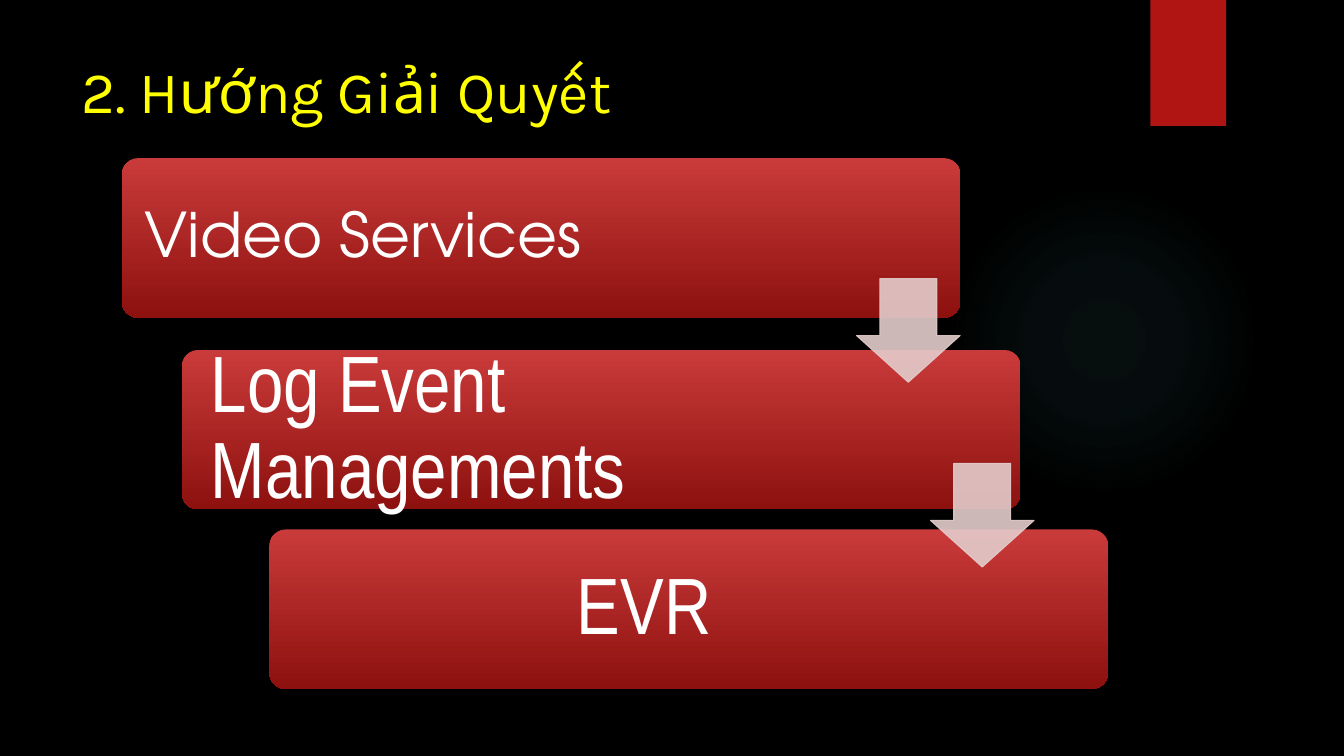
from dataclasses import dataclass

from lxml import etree
from pptx import Presentation
from pptx.dml.color import RGBColor
from pptx.enum.shapes import MSO_SHAPE
from pptx.enum.text import MSO_ANCHOR, PP_ALIGN
from pptx.oxml import parse_xml
from pptx.oxml.ns import nsdecls, qn
from pptx.util import Pt

OVAL, RECT = MSO_SHAPE.OVAL, MSO_SHAPE.RECTANGLE
ROUNDED, DOWN_ARROW = MSO_SHAPE.ROUNDED_RECTANGLE, MSO_SHAPE.DOWN_ARROW
TOP, MIDDLE, LEFT = MSO_ANCHOR.TOP, MSO_ANCHOR.MIDDLE, PP_ALIGN.LEFT
BLANK_LAYOUT = 6


@dataclass(frozen=True)
class Theme:
    background: str = "000000"
    glow: str = "50B9C1"
    ribbon: str = "B01513"
    title: str = "FFFF00"
    card_top: str = "C93B3A"
    card_bottom: str = "8D110F"
    card_text: str = "FFFFFF"
    arrow: str = "E4CCCC"
    title_font: str = "Karla"
    service_font: str = "TeX Gyre Adventor"
    step_font: str = "Arial Narrow"
    title_size: int = 42
    service_size: int = 44
    step_size: int = 57


THEME = Theme()


def rgb(value):
    return RGBColor.from_string(value)


def add_plain_shape(slide, kind, box):
    shape = slide.shapes.add_shape(kind, *map(Pt, box))
    shape.shadow.inherit = False
    shape.line.fill.background()
    return shape


def add_label(slide, box, text, font, size, color, anchor, insets):
    label = slide.shapes.add_textbox(*map(Pt, box))
    frame = label.text_frame
    frame.word_wrap = True
    frame.vertical_anchor = anchor
    frame.margin_left = frame.margin_right = Pt(insets[0])
    frame.margin_top = frame.margin_bottom = Pt(insets[1])
    frame.text = text
    paragraph = frame.paragraphs[0]
    paragraph.alignment = LEFT
    run_font = paragraph.runs[0].font
    run_font.name, run_font.size = font, Pt(size)
    run_font.color.rgb = rgb(color)
    return paragraph


def draw_backdrop(slide, width):
    slide.background.fill.solid()
    slide.background.fill.fore_color.rgb = rgb(THEME.background)

    # Faint round glow
    glow = add_plain_shape(slide, OVAL, (677.5, 131.8, 221.8, 221.8))
    stops = "".join(
        f'<a:gs pos="{position * 1000}"><a:srgbClr val="{THEME.glow}">'
        f'<a:alpha val="{opacity * 1000}"/></a:srgbClr></a:gs>'
        for position, opacity in ((0, 7), (36, 6), (69, 0)))
    gradient = parse_xml(
        f'<a:gradFill {nsdecls("a")}><a:gsLst>{stops}</a:gsLst><a:path path="circle">'
        '<a:fillToRect l="50000" t="50000" r="50000" b="50000"/></a:path></a:gradFill>')
    glow.element.spPr.find(qn("a:prstGeom")).addnext(gradient)

    # Ribbon hanging from the top edge
    ribbon = add_plain_shape(slide, RECT, (width - 138.2, 0, 54, 90))
    ribbon.fill.solid()
    ribbon.fill.fore_color.rgb = rgb(THEME.ribbon)


def draw_title(slide, box):
    add_label(slide, box, "2. Hướng Giải Quyết", THEME.title_font,
              THEME.title_size, THEME.title, TOP, (7.2, 3.6))


def draw_step(slide, box, text, font, size, inset, label_width, indent):
    left, top, _, height = box
    card = add_plain_shape(slide, ROUNDED, box)
    card.adjustments[0] = 0.1
    card.fill.gradient()
    card.fill.gradient_angle = 270
    for stop, color in zip(card.fill.gradient_stops, (THEME.card_top, THEME.card_bottom)):
        stop.color.rgb = rgb(color)

    label_box = (left + 3.3, top + 3.3, label_width, height - 6.6)
    paragraph = add_label(slide, label_box, text, font, size,
                          THEME.card_text, MIDDLE, (inset, inset))
    paragraph.line_spacing = 0.9
    if indent:
        paragraph._p.get_or_add_pPr().set("marL", str(Pt(indent)))


def draw_arrow(slide, box):
    arrow = add_plain_shape(slide, DOWN_ARROW, box)
    arrow.adjustments[0], arrow.adjustments[1] = 0.55, 0.45
    for fill in (arrow.fill, arrow.line.fill):
        fill.solid()
        fill.fore_color.rgb = rgb(THEME.arrow)
    arrow.line.width = Pt(0.75)
    for color in arrow.element.spPr.iter(qn("a:srgbClr")):
        etree.SubElement(color, qn("a:alpha")).set("val", "90000")


def draw_staircase(slide, box):
    left, top, width, height = box
    card_width, card_height, arrow_size = 599, 113.8, 74
    service = (THEME.service_font, THEME.service_size, 13, 476)
    step = (THEME.step_font, THEME.step_size, 17.3, 465)

    # Cards step down to the right; the last meets the lower right corner
    steps = (
        (0, 0, "Video Services", service, 0),
        (43, 137, "Log Event Managements", step, 0),
        (width - card_width, height - card_height, "EVR", step, 199),
    )
    for dx, dy, text, style, indent in steps:
        draw_step(slide, (left + dx, top + dy, card_width, card_height),
                  text, *style, indent)

    # Arrows bridge each pair of cards
    for dx, dy in ((524.8, 86), (577.6, 218)):
        draw_arrow(slide, (left + dx, top + dy, arrow_size, arrow_size))


def main():
    deck = Presentation()
    deck.slide_width, deck.slide_height = Pt(960), Pt(540)
    slide = deck.slides.add_slide(deck.slide_layouts[BLANK_LAYOUT])
    draw_backdrop(slide, 960)
    draw_title(slide, (51.1, 35.6, 740.9, 77))
    draw_staircase(slide, (87, 113, 704.5, 379))
    deck.save("out.pptx")


if __name__ == "__main__":
    main()
